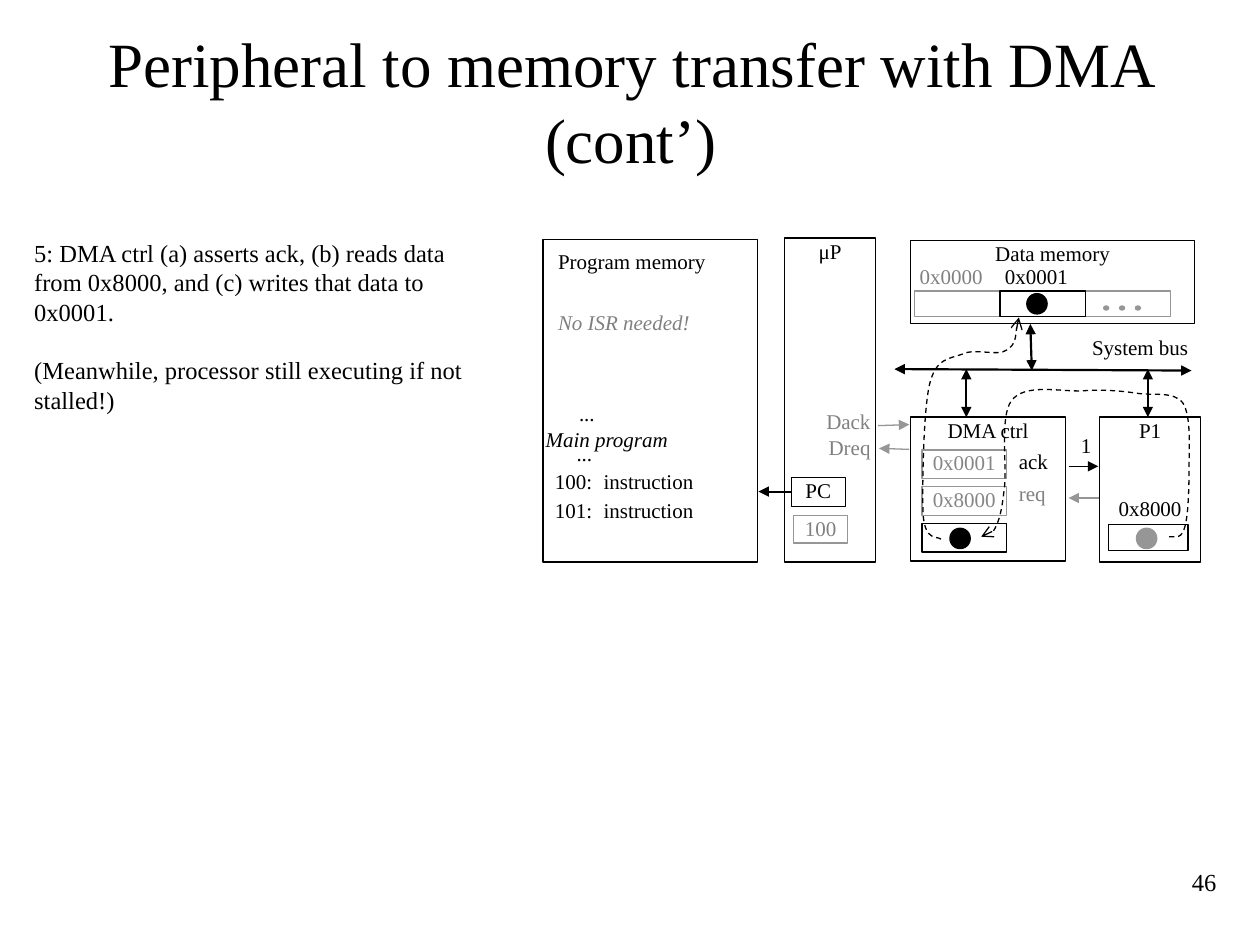
import pptx
import pptx.dml.color
import pptx.enum.dml
import pptx.enum.shapes
import pptx.enum.text
import pptx.oxml
import pptx.oxml.ns
import pptx.util
from pptx.util import Cm

BLACK, GREY, MID_GREY, TEXT_GREY = "000000", "969696", "868686", "808080"
THIN, THICK = 0.75, 1.25
LEFT = pptx.enum.text.PP_ALIGN.LEFT
CENTER = pptx.enum.text.PP_ALIGN.CENTER
RIGHT = pptx.enum.text.PP_ALIGN.RIGHT
RECT = pptx.enum.shapes.MSO_SHAPE.RECTANGLE
OVAL = pptx.enum.shapes.MSO_SHAPE.OVAL


def rgb(value):
    return pptx.dml.color.RGBColor.from_string(value)


def place(box, x, y, width, height):
    """Turn a place relative to box into one on the page, in centimetres."""
    return box[0] + x, box[1] + y, width, height


def write(shape, lines, size, color, align, italic=False, inset=0, gap=0):
    frame = shape.text_frame
    frame.word_wrap = True
    frame.vertical_anchor = pptx.enum.text.MSO_ANCHOR.TOP
    frame.margin_left = frame.margin_right = Cm(inset)
    frame.margin_top = frame.margin_bottom = Cm(inset / 2)
    frame.text = "\n".join(lines)
    for index, para in enumerate(frame.paragraphs):
        para.alignment = align
        if index:
            para.space_before = pptx.util.Pt(gap)
        for span in para.runs:
            span.font.name = "Times New Roman"
            span.font.size = pptx.util.Pt(size)
            span.font.italic = italic
            span.font.color.rgb = rgb(color)


def add_label(page, box, text, color=BLACK, align=LEFT, italic=False):
    label = page.shapes.add_textbox(*map(Cm, box))
    write(label, [text], 12, color, align, italic)


def add_block(page, box, text="", line=BLACK, color=BLACK, fill=None, kind=RECT):
    block = page.shapes.add_shape(kind, *map(Cm, box))
    block.shadow.inherit = False
    block.line.color.rgb = rgb(line)
    block.line.width = pptx.util.Pt(THIN)
    if fill:
        block.fill.solid()
        block.fill.fore_color.rgb = rgb(fill)
    else:
        block.fill.background()
    if text:
        write(block, [text], 12, color, CENTER)


def add_dot(page, box, x, y, color=BLACK, width=0.41, height=0.41):
    add_block(page, place(box, x, y, width, height), line=color, fill=color, kind=OVAL)


def add_heads(shape, **ends):
    outline = shape.line._get_or_add_ln()
    for tag, kind in ends.items():
        end = pptx.oxml.parse_xml(f'<a:{tag} {pptx.oxml.ns.nsdecls("a")} type="{kind}"/>')
        outline.append(end)


def add_arrow(page, box, start, end, color=BLACK, width=THIN, both=False):
    points = [Cm(box[i] + point[i]) for point in (start, end) for i in (0, 1)]
    straight = pptx.enum.shapes.MSO_CONNECTOR.STRAIGHT
    arrow = page.shapes.add_connector(straight, *points)
    arrow.line.color.rgb = rgb(color)
    arrow.line.width = pptx.util.Pt(width)
    add_heads(arrow, **({"headEnd": "triangle"} if both else {}), tailEnd="triangle")
    effects = f'<a:effectLst {pptx.oxml.ns.nsdecls("a")}/>'
    arrow._element.spPr.append(pptx.oxml.parse_xml(effects))


def add_curve(page, box, points):
    """Draw a dashed arrow; after the start, every three points form one Bezier part."""
    start, *controls = [(Cm(box[0] + x), Cm(box[1] + y)) for x, y in points]
    builder = page.shapes.build_freeform(*start)
    builder.add_line_segments(controls, close=False)
    curve = builder.convert_to_shape()
    steps = curve._element.findall(".//" + pptx.oxml.ns.qn("a:lnTo"))
    for first in range(0, len(steps), 3):
        bezier = pptx.oxml.parse_xml(f'<a:cubicBezTo {pptx.oxml.ns.nsdecls("a")}/>')
        steps[first].addprevious(bezier)
        for step in steps[first:first + 3]:
            bezier.append(step[0])
            step.getparent().remove(step)
    curve.shadow.inherit = False
    curve.fill.background()
    curve.line.color.rgb = rgb(BLACK)
    curve.line.width = pptx.util.Pt(THIN)
    curve.line.dash_style = pptx.enum.dml.MSO_LINE.DASH
    add_heads(curve, tailEnd="arrow")


def draw_title(page, box):
    title = page.shapes.add_textbox(*map(Cm, box))
    write(title, ["Peripheral to memory transfer with DMA (cont’)"], 36, BLACK, CENTER)
    title.text_frame.vertical_anchor = pptx.enum.text.MSO_ANCHOR.MIDDLE


def draw_explanation(page, box):
    lines = ["5: DMA ctrl (a) asserts ack, (b) reads data from 0x8000, "
             "and (c) writes that data to 0x0001.",
             "(Meanwhile, processor still executing if not stalled!)"]
    write(page.shapes.add_textbox(*map(Cm, box)), lines, 14, BLACK, LEFT, gap=16.5)


def draw_page_number(page, box):
    write(page.shapes.add_textbox(*map(Cm, box)), ["46"], 14, BLACK, RIGHT, inset=0.25)


def draw_program_memory(page, box):
    add_block(page, box)
    add_label(page, place(box, 0.3, 0.18, 3.99, 0.66), "Program memory")
    add_label(page, place(box, 0.3, 1.42, 3.73, 0.56), "No ISR needed!", TEXT_GREY, italic=True)
    add_label(page, place(box, 0.05, 3.76, 3.4, 0.64), "Main program", italic=True)
    for x, y in ((0.3, 3.25), (0.25, 4.06)):
        add_label(page, place(box, x, y, 0.74, 0.51), "...", align=RIGHT)
    for address, y in (("100:", 4.62), ("101:", 5.21)):
        add_label(page, place(box, -0.03, y, 1.02, 0.51), address, align=RIGHT)
        add_label(page, place(box, 1.22, y, 2.54, 0.51), "instruction")


def draw_processor(page, box):
    add_block(page, box, "μP")
    add_arrow(page, box, (0.13, 5.11), (-0.53, 5.11), width=THICK)
    add_block(page, place(box, 0.13, 4.83, 1.09, 0.58), "PC", fill="FFFFFF")
    add_block(page, place(box, 0.18, 5.59, 1.09, 0.56), "100", GREY, TEXT_GREY)
    for signal, y in (("Dack", 3.43), ("Dreq", 3.96)):
        add_label(page, place(box, 0.51, y, 1.22, 0.66), signal, TEXT_GREY, RIGHT)
    add_arrow(page, box, (1.88, 3.78), (2.51, 3.76), GREY)
    add_arrow(page, box, (2.51, 4.26), (1.9, 4.24), GREY)


def draw_data_memory(page, box):
    add_block(page, box, "Data memory")
    for index, line in ((0, GREY), (2, GREY), (1, BLACK)):
        add_block(page, place(box, 0.08 + 1.72 * index, 1.02, 1.72, 0.51), line=line)
    add_label(page, place(box, 0.18, 0.46, 1.65, 0.51), "0x0000", TEXT_GREY)
    add_label(page, place(box, 1.9, 0.46, 1.75, 0.51), "0x0001")
    add_dot(page, box, 2.34, 1.07)
    for index in range(3):
        add_dot(page, box, 3.89 + 0.32 * index, 1.32, GREY, 0.1, 0.08)


def draw_bus(page, box):
    add_arrow(page, box, (0, 0), (5.99, 0.03), width=THICK, both=True)
    for start, end in (((1.45, 0), (1.45, 0.97)), ((5.11, 0), (5.11, 0.97)),
                       ((2.74, -0.91), (2.77, 0.03))):
        add_arrow(page, box, start, end, width=THICK, both=True)
    add_label(page, place(box, 3.66, -0.69, 2.59, 0.81), "System bus", align=CENTER)


def draw_dma_controller(page, box):
    add_block(page, box, "DMA ctrl")
    registers = (("0x0001", GREY), ("0x8000", GREY), ("", BLACK))
    for index, (value, line) in enumerate(registers):
        add_block(page, place(box, 0.23, 0.66 + 0.74 * index, 1.7, 0.58), value, line, MID_GREY)
    add_dot(page, box, 0.79, 2.24)
    add_label(page, place(box, 2.18, 0.63, 0.89, 0.69), "ack")
    add_label(page, place(box, 2.18, 1.27, 0.89, 0.69), "req", TEXT_GREY)
    add_label(page, place(box, 3.28, 0.3, 0.51, 0.51), "1", align=CENTER)
    add_arrow(page, box, (3.18, 0.99), (3.78, 0.99))
    add_arrow(page, box, (3.81, 1.63), (3.18, 1.63), GREY)


def draw_peripheral(page, box):
    add_block(page, box, "P1")
    add_label(page, place(box, 0.2, 1.57, 1.63, 0.56), "0x8000", align=CENTER)
    add_block(page, place(box, 0.18, 2.16, 1.6, 0.53))
    add_dot(page, box, 0.74, 2.24, GREY)


def draw_data_flow(page, box):
    """Trace the data from P1 to the DMA controller and on to memory."""
    add_curve(page, box, [
        (5.21, 2.41), (5.26, 2.39), (5.44, 2.49), (5.51, 2.26),
        (5.59, 2.06), (5.61, 1.5), (5.61, 1.07), (5.61, 0.66), (5.66, 0), (5.49, -0.28),
        (5.31, -0.53), (4.9, -0.43), (4.57, -0.48), (4.24, -0.53), (3.89, -0.56), (3.45, -0.53),
        (3.02, -0.51), (2.29, -0.69), (2.03, -0.33), (1.78, 0), (1.96, 1.07), (1.88, 1.5),
        (1.83, 1.93), (1.78, 2.08), (1.7, 2.24), (1.63, 2.36), (1.47, 2.36), (1.42, 2.41)])
    add_curve(page, box, [
        (0.61, 2.46), (0.53, 2.39), (0.3, 2.51), (0.25, 1.98),
        (0.23, 1.47), (0.25, -0.1), (0.38, -0.66), (0.51, -1.19), (0.76, -1.17), (1.04, -1.27),
        (1.3, -1.4), (1.75, -1.22), (1.93, -1.35), (2.13, -1.47), (2.13, -1.85), (2.18, -2.01)])


def main():
    deck = pptx.Presentation()
    deck.slide_width, deck.slide_height = Cm(25.4), Cm(19.05)
    page = deck.slides.add_slide(deck.slide_layouts[6])
    controller_box = (18.36, 8.41, 3.12, 2.9)
    draw_title(page, (1.07, 0.43, 23.29, 3.18))
    draw_explanation(page, (0.69, 4.8, 9.25, 3.4))
    draw_program_memory(page, (10.95, 4.83, 4.32, 6.5))
    draw_processor(page, (15.82, 4.8, 1.83, 6.53))
    draw_data_memory(page, (18.36, 4.85, 5.72, 1.68))
    draw_bus(page, (18.03, 7.44, 5.99, 0.03))
    draw_dma_controller(page, controller_box)
    draw_peripheral(page, (22.17, 8.41, 2.03, 2.92))
    draw_data_flow(page, controller_box)
    draw_page_number(page, (22.23, 17.35, 2.54, 1.27))
    deck.save("out.pptx")


if __name__ == "__main__":
    main()
